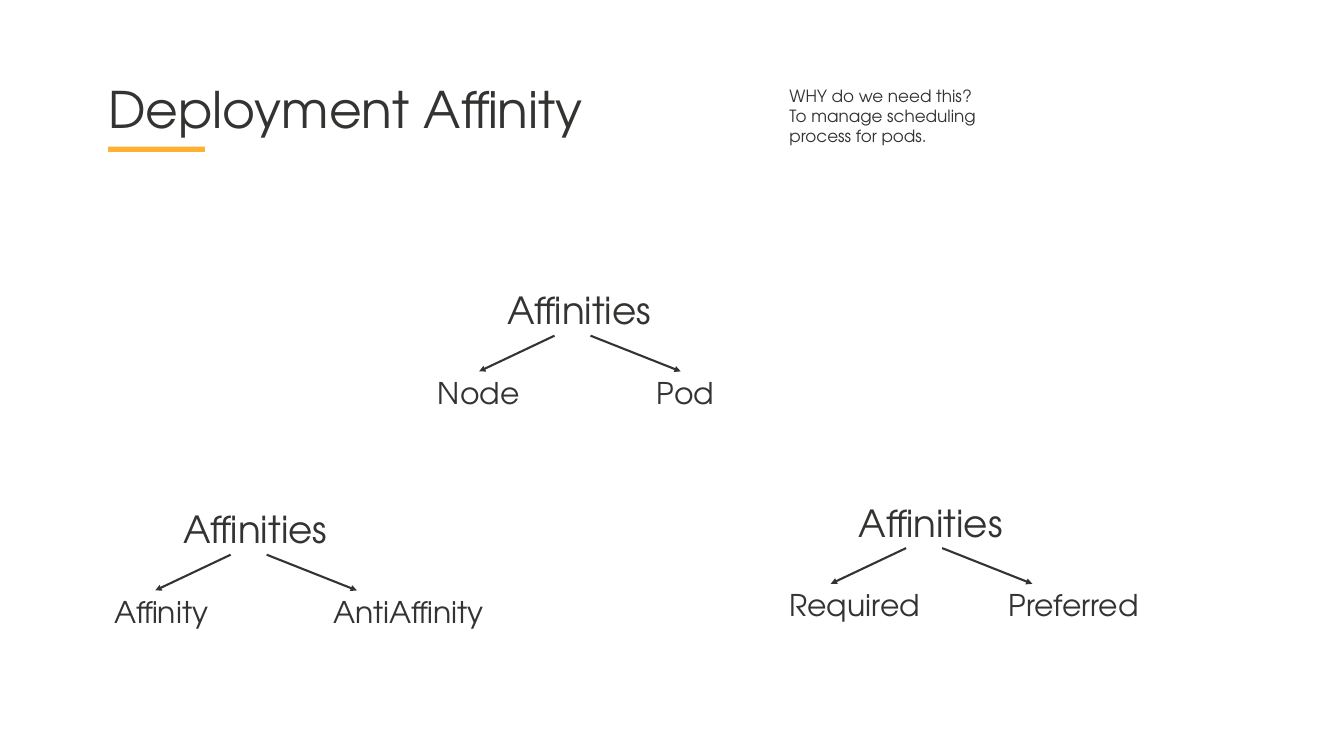
from dataclasses import dataclass

from lxml import etree
from pptx import Presentation
from pptx.dml.color import RGBColor
from pptx.enum import shapes, text
from pptx.oxml import ns
from pptx.util import Cm, Pt


@dataclass(frozen=True)
class Theme:
    font: str = "TeX Gyre Adventor"
    ink: RGBColor = RGBColor(0x33, 0x33, 0x32)
    accent: RGBColor = RGBColor(0xFF, 0xB1, 0x33)
    title: int = 54
    root: int = 40
    branch: int = 32
    note: int = 18
    line: float = 2.25


THEME = Theme()
LABEL_WIDTH = 6.81
ROOT_HEIGHT = 1.95
BRANCH_HEIGHT = 1.63
BRANCH_DROP = 3.3
BRANCH_OFFSETS = (-2.62, 5.66)
ARROW_STARTS = (2.04, 3.4)
ARROW_ENDS = (-0.81, LABEL_WIDTH)

TREES = (
    (18.92, 10.74, "Affinities", ("Node", "Pod")),
    (6.68, 19.02, "Affinities", ("Affinity", "AntiAffinity")),
    (32.21, 18.77, "Affinities", ("Required", "Preferred")),
)


def style_paragraph(para, size):
    para.font.name = THEME.font
    para.font.size = Pt(size)
    para.font.color.rgb = THEME.ink


def add_title(page, wording):
    title = page.shapes.title
    title.left, title.top = Cm(4.09), Cm(3.2)
    title.width, title.height = Cm(32.92), Cm(2.36)
    frame = title.text_frame
    frame.text = wording
    frame.word_wrap = True
    frame.auto_size = text.MSO_AUTO_SIZE.NONE
    frame.vertical_anchor = text.MSO_ANCHOR.TOP
    frame.margin_left = frame.margin_right = 0
    frame.margin_top = frame.margin_bottom = 0
    para = frame.paragraphs[0]
    para.alignment = text.PP_ALIGN.LEFT
    para.line_spacing = 0.9
    style_paragraph(para, THEME.title)


def add_underline(page):
    bar = page.shapes.add_shape(
        shapes.MSO_SHAPE.RECTANGLE, Cm(4.09), Cm(5.54), Cm(3.66), Cm(0.2)
    )
    bar.shadow.inherit = False
    bar.fill.solid()
    bar.fill.fore_color.rgb = THEME.accent
    bar.line.fill.background()


def add_label(page, left, top, width, height, wording, size):
    box = page.shapes.add_textbox(Cm(left), Cm(top), Cm(width), Cm(height))
    frame = box.text_frame
    frame.word_wrap = True
    frame.auto_size = text.MSO_AUTO_SIZE.SHAPE_TO_FIT_TEXT
    frame.text = wording
    for para in frame.paragraphs:
        style_paragraph(para, size)


def add_arrow(page, start_x, start_y, end_x, end_y):
    arrow = page.shapes.add_connector(
        shapes.MSO_CONNECTOR.STRAIGHT,
        Cm(start_x), Cm(start_y), Cm(end_x), Cm(end_y),
    )
    arrow.line.color.rgb = THEME.ink
    arrow.line.width = Pt(THEME.line)
    outline = arrow.line._get_or_add_ln()
    etree.SubElement(outline, ns.qn("a:tailEnd"), type="triangle")
    etree.SubElement(arrow._element.spPr, ns.qn("a:effectLst"))


def add_tree(page, left, top, root, branches):
    add_label(page, left, top, LABEL_WIDTH, ROOT_HEIGHT, root, THEME.root)
    branch_top = top + BRANCH_DROP
    for branch, offset in zip(branches, BRANCH_OFFSETS):
        add_label(page, left + offset, branch_top, LABEL_WIDTH,
                  BRANCH_HEIGHT, branch, THEME.branch)
    for start, end in zip(ARROW_STARTS, ARROW_ENDS):
        add_arrow(page, left + start, top + ROOT_HEIGHT, left + end, branch_top)


def main():
    deck = Presentation()
    deck.slide_width, deck.slide_height = Cm(50.8), Cm(28.58)
    page = deck.slides.add_slide(deck.slide_layouts.get_by_name("Title Only"))
    add_underline(page)
    add_title(page, "Deployment Affinity")
    add_label(page, 29.59, 3.1, 9.75, 2.57,
              "WHY do we need this?\nTo manage scheduling process for pods.",
              THEME.note)
    for tree in TREES:
        add_tree(page, *tree)
    deck.save("out.pptx")


if __name__ == "__main__":
    main()
